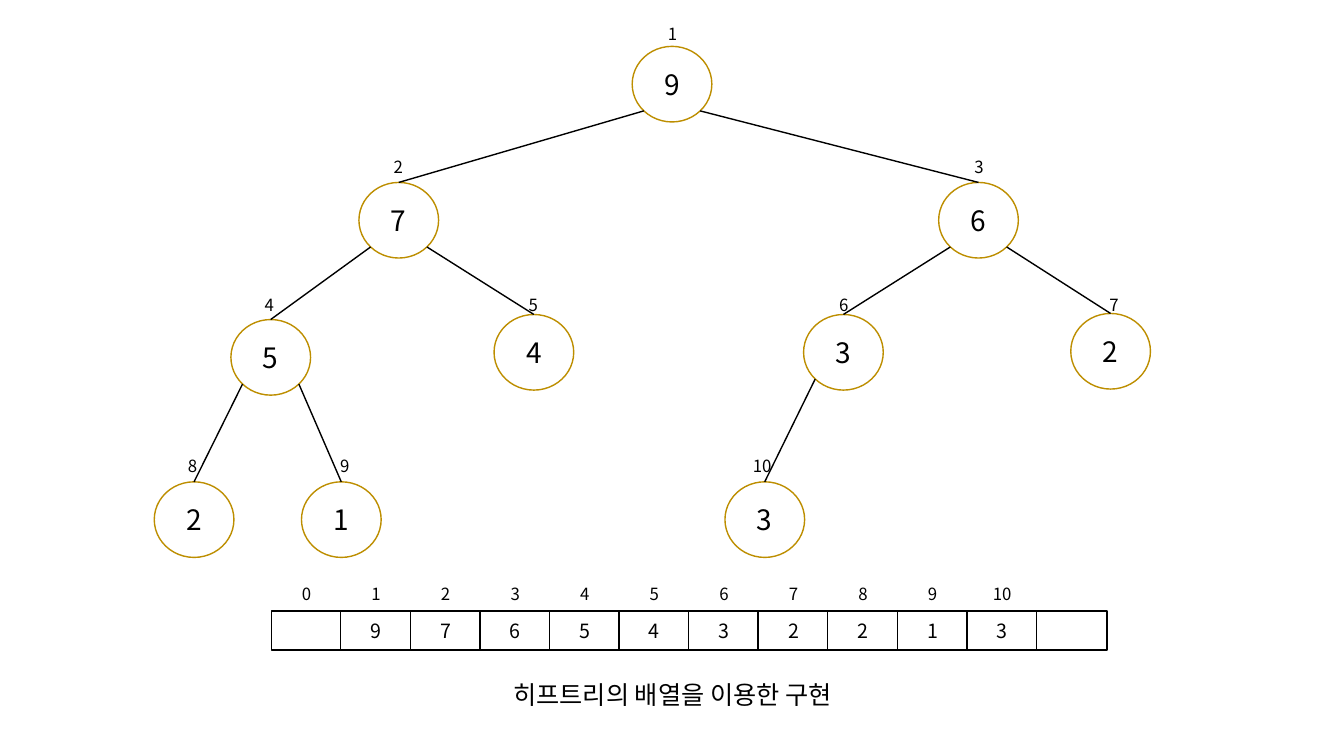
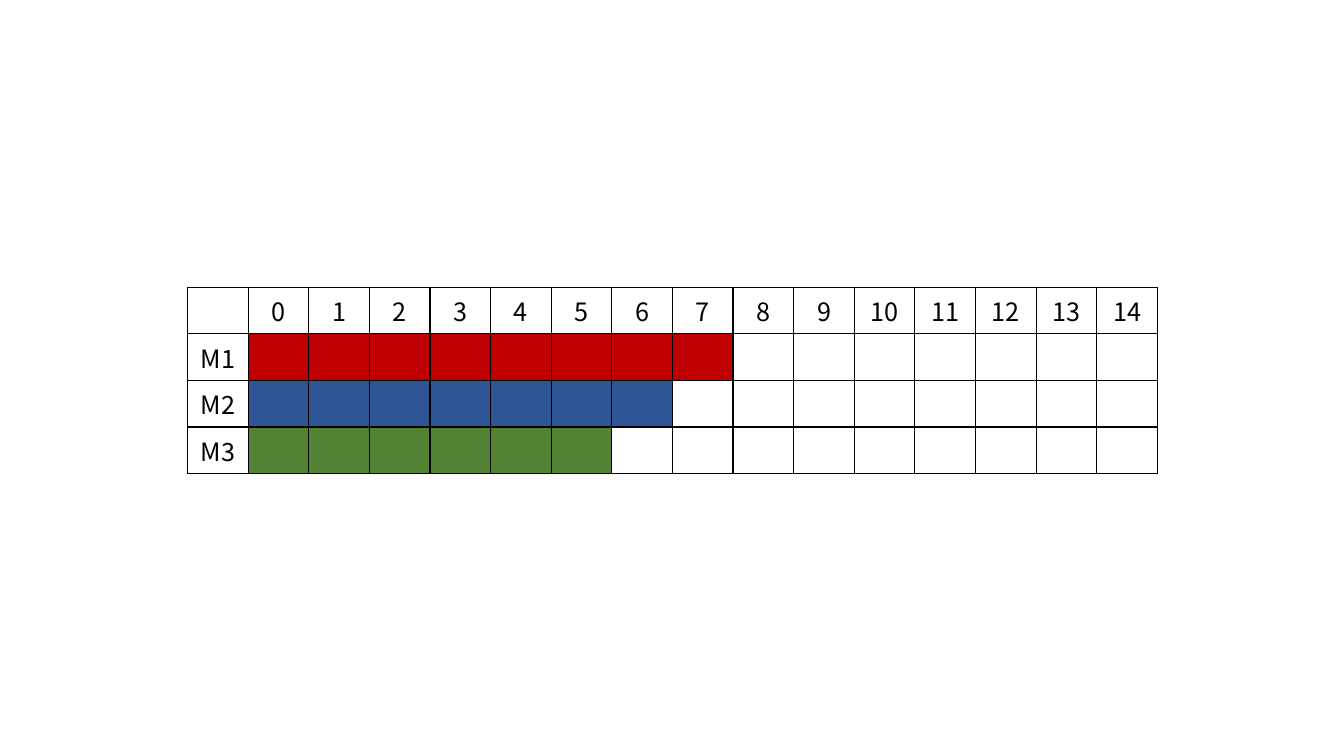
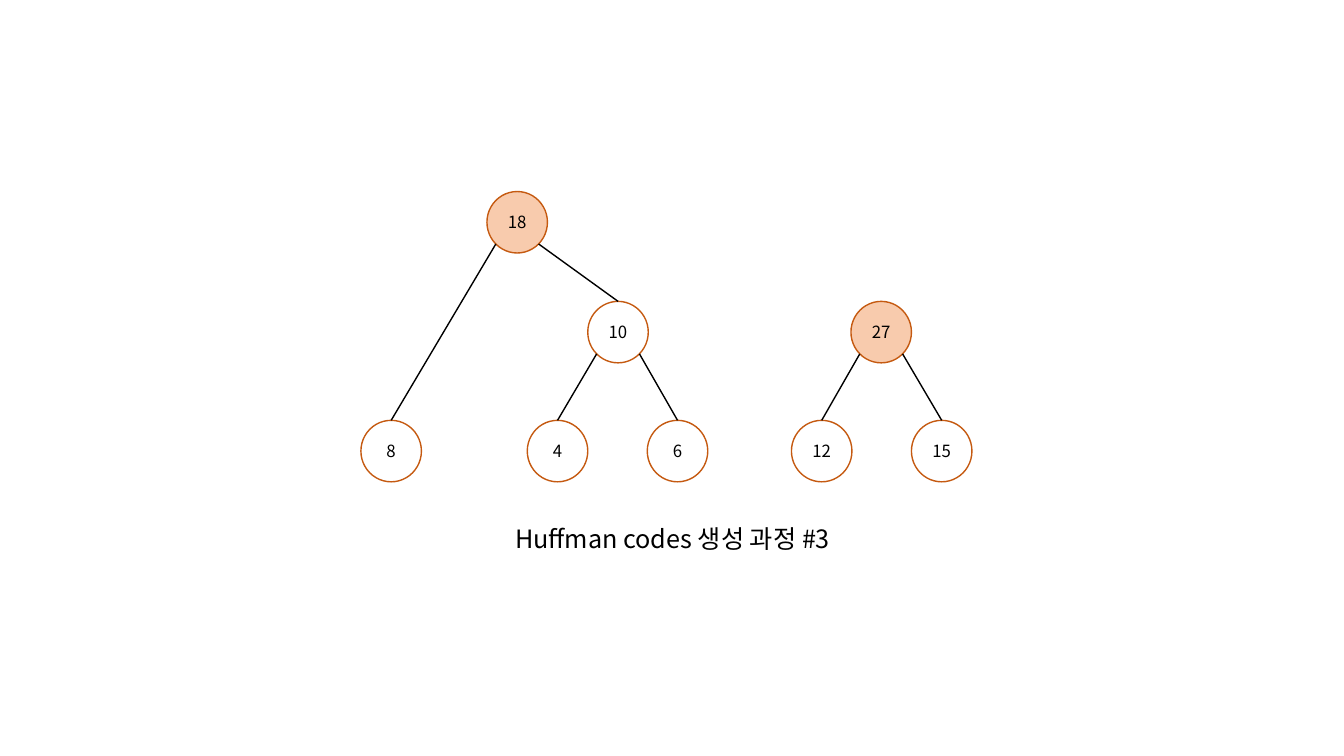
from dataclasses import dataclass
from math import sqrt

from lxml import etree
from pptx import Presentation
from pptx.dml.color import RGBColor
from pptx.enum.shapes import MSO_CONNECTOR, MSO_SHAPE
from pptx.enum.text import MSO_ANCHOR, MSO_AUTO_SIZE, PP_ALIGN
from pptx.oxml.ns import qn
from pptx.util import Inches, Pt

STRAIGHT = MSO_CONNECTOR.STRAIGHT
HEAP_NODE = MSO_SHAPE.FLOWCHART_CONNECTOR
CIRCLE = MSO_SHAPE.OVAL
RECT = MSO_SHAPE.RECTANGLE
CENTER = PP_ALIGN.CENTER
MIDDLE = MSO_ANCHOR.MIDDLE
GROW = MSO_AUTO_SIZE.SHAPE_TO_FIT_TEXT
TOP_SITE = 0


@dataclass(frozen=True)
class Theme:
    font: str = "Noto Sans CJK KR"
    ink: str = "000000"
    paper: str = "FFFFFF"
    heap_line: str = "BD8E00"
    huffman_line: str = "C55A11"
    huffman_root: str = "F8CBAD"
    machines: tuple = ("C00000", "2F5597", "548235")
    label_size: int = 12
    array_size: int = 14
    caption_size: int = 18
    heap_size: int = 20
    line_width: int = 1


class Deck:
    def __init__(self, theme):
        self.theme = theme
        self.prs = Presentation()
        self.prs.slide_width = Inches(13.33)
        self.prs.slide_height = Inches(7.5)
        self.slide = None

    def new_slide(self):
        self.slide = self.prs.slides.add_slide(self.prs.slide_layouts[6])

    def set_text(self, frame, text, size):
        """Set one centred paragraph in the theme font."""
        frame.text = text
        paragraph = frame.paragraphs[0]
        paragraph.alignment = CENTER
        for run in paragraph.runs:
            run.font.size = Pt(size)
            run.font.name = self.theme.font
            run.font.color.rgb = RGBColor.from_string(self.theme.ink)
            east_asian = etree.SubElement(run.font._element, qn("a:ea"))
            east_asian.set("typeface", self.theme.font)

    def stroke(self, line, color):
        line.color.rgb = RGBColor.from_string(color)
        line.width = Pt(self.theme.line_width)

    def shape(self, kind, box, text, size, line, fill=None):
        item = self.slide.shapes.add_shape(kind, *map(Inches, box))
        item.shadow.inherit = False
        item.fill.solid()
        item.fill.fore_color.rgb = RGBColor.from_string(fill or self.theme.paper)
        self.stroke(item.line, line)
        item.text_frame.vertical_anchor = MIDDLE
        if text:
            self.set_text(item.text_frame, text, size)
        return item

    def text(self, box, text, size):
        frame = self.slide.shapes.add_textbox(*map(Inches, box)).text_frame
        frame.word_wrap = True
        frame.auto_size = GROW
        self.set_text(frame, text, size)

    def label(self, left, top, text):
        self.text((left, top, 0.42, 0.3), text, self.theme.label_size)

    def caption(self, top, text):
        self.text((3.7, top, 5.94, 0.4), text, self.theme.caption_size)

    def branch(self, parent, child):
        """Join a parent's lower left or right edge to the child's top."""
        side = -1 if child.left < parent.left else 1
        x = parent.left + parent.width / 2 * (1 + side / sqrt(2))
        y = parent.top + parent.height / 2 * (1 + 1 / sqrt(2))
        edge = self.slide.shapes.add_connector(
            STRAIGHT, int(x), int(y), child.left + child.width // 2, child.top)
        edge.end_connect(child, TOP_SITE)
        self.stroke(edge.line, self.theme.ink)
        etree.SubElement(edge._element.spPr, qn("a:effectLst"))

    def cell(self, cell, text, fill):
        properties = cell._tc.get_or_add_tcPr()
        for side in ("lnL", "lnR", "lnT", "lnB"):
            border = etree.SubElement(properties, qn(f"a:{side}"),
                                      w=str(Pt(self.theme.line_width)))
            paint = etree.SubElement(border, qn("a:solidFill"))
            etree.SubElement(paint, qn("a:srgbClr"), val=self.theme.ink)
        cell.fill.solid()
        cell.fill.fore_color.rgb = RGBColor.from_string(fill)
        if text:
            self.set_text(cell.text_frame, text, self.theme.caption_size)

    def table(self, box, rows):
        """Rows hold (text, fill) pairs; all cells are the same size."""
        grid = self.slide.shapes.add_table(
            len(rows), len(rows[0]), *map(Inches, box)).table
        grid.first_row = False
        grid.horz_banding = False
        for r, row in enumerate(rows):
            for c, (text, fill) in enumerate(row):
                self.cell(grid.cell(r, c), text, fill)


def heap_slide(deck):
    theme = deck.theme
    deck.new_slide()

    # Tree: index -> value, left, top, label left, parent index
    heap = {
        1: ("9", 6.27, 0.46, 6.46, None),
        2: ("7", 3.56, 1.81, 3.74, 1),
        3: ("6", 9.31, 1.81, 9.5, 1),
        4: ("5", 2.29, 3.17, 2.46, 2),
        5: ("4", 4.9, 3.12, 5.08, 2),
        6: ("3", 7.97, 3.12, 8.16, 3),
        7: ("2", 10.62, 3.11, 10.84, 3),
        8: ("2", 1.53, 4.78, 1.7, 4),
        9: ("1", 2.99, 4.78, 3.21, 4),
        10: ("3", 7.19, 4.78, 7.35, 6),
    }
    level_label_tops = (0.19, 1.51, 2.87, 4.47)
    nodes = {}
    for index, (value, left, top, label_left, parent) in heap.items():
        nodes[index] = deck.shape(HEAP_NODE, (left, top, 0.79, 0.75), value,
                                  theme.heap_size, theme.heap_line)
        if parent:
            deck.branch(nodes[parent], nodes[index])
        level = index.bit_length() - 1
        deck.label(label_left, level_label_tops[level], str(index))

    # Array: an unused cell at each end, no index over the last
    values = ["", *(node[0] for node in heap.values()), ""]
    for index, value in enumerate(values):
        left = 2.69 + 0.69 * index
        deck.shape(RECT, (left, 6.06, 0.7, 0.39), value,
                   theme.array_size, theme.ink)
        if index <= len(heap):
            deck.label(left + 0.14, 5.74, str(index))

    deck.caption(6.69, "히프트리의 배열을 이용한 구현")


def schedule_slide(deck):
    theme = deck.theme
    deck.new_slide()

    # Time header, then one row per machine with its busy slots filled
    slots = 15
    rows = [[(text, theme.paper) for text in ["", *map(str, range(slots))]]]
    for number, (color, busy) in enumerate(zip(theme.machines, (8, 7, 6)), 1):
        rows.append([(f"M{number}", theme.paper)] + [("", color)] * busy
                    + [("", theme.paper)] * (slots - busy))
    deck.table((1.86, 2.85, 9.62, 1.62), rows)


def huffman_slide(deck):
    theme = deck.theme
    deck.new_slide()

    # Trees: weight, left, top, parent weight
    weights = (
        ("18", 4.83, 1.9, None),
        ("8", 3.58, 4.17, "18"),
        ("10", 5.83, 2.99, "18"),
        ("4", 5.23, 4.17, "10"),
        ("6", 6.42, 4.17, "10"),
        ("27", 8.44, 2.99, None),
        ("12", 7.85, 4.17, "27"),
        ("15", 9.04, 4.17, "27"),
    )
    nodes = {}
    for weight, left, top, parent in weights:
        fill = theme.paper if parent else theme.huffman_root
        nodes[weight] = deck.shape(CIRCLE, (left, top, 0.6, 0.61), weight,
                                   theme.label_size, theme.huffman_line, fill)
        if parent:
            deck.branch(nodes[parent], nodes[weight])

    deck.caption(5.14, "Huffman codes 생성 과정 #3")


def main():
    deck = Deck(Theme())
    heap_slide(deck)
    schedule_slide(deck)
    huffman_slide(deck)
    deck.prs.save("out.pptx")


if __name__ == "__main__":
    main()
